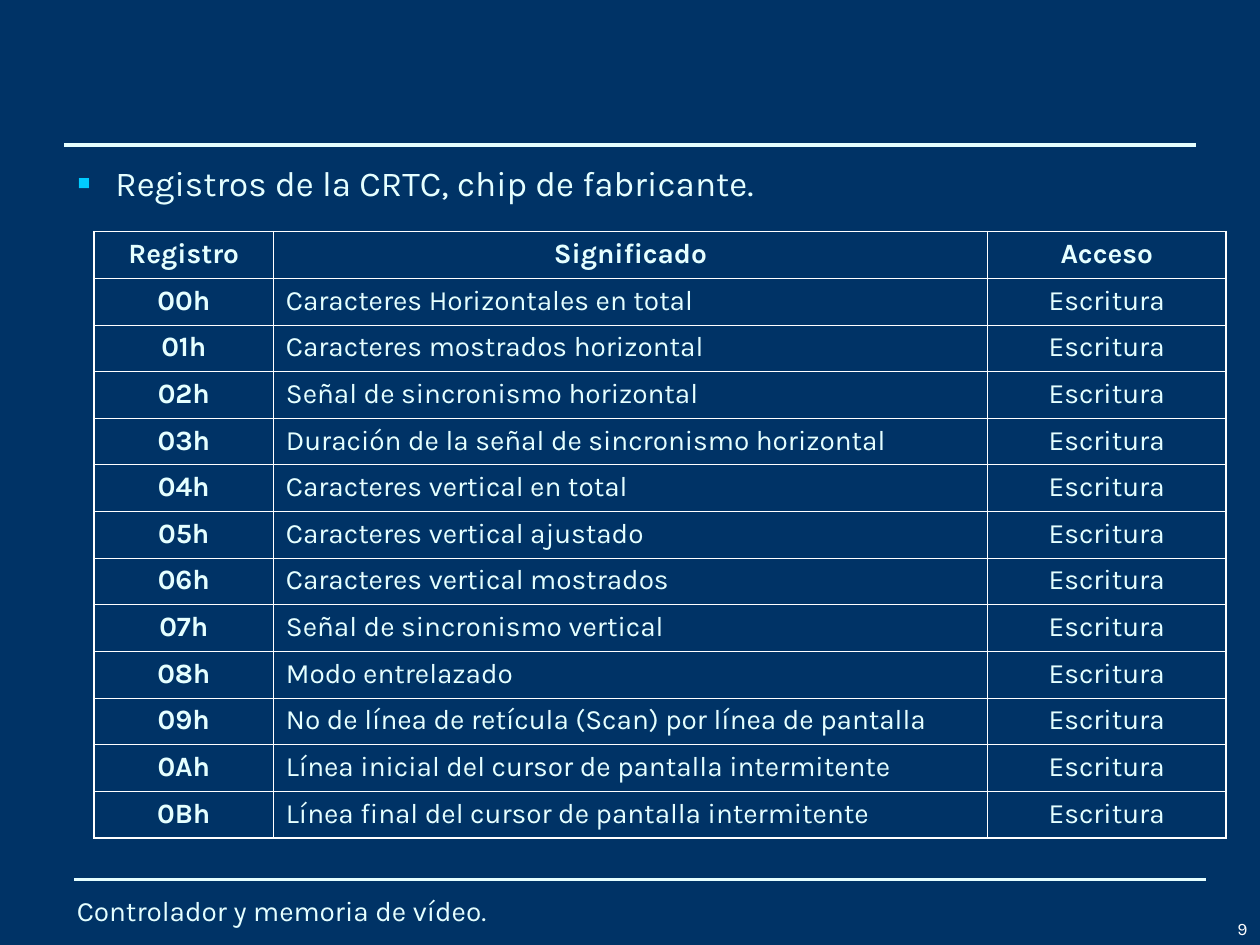
from dataclasses import dataclass

from lxml import etree
from pptx import Presentation
from pptx import util as u
from pptx.dml.color import RGBColor
from pptx.enum import shapes, text
from pptx.oxml.ns import qn

FONT = "Karla"
COLORS = {
    "background": "003366",
    "text": "E5FFFF",
    "bullet": "00CCFF",
    "grid": "FFFFFF",
}
THIN, THICK = 0.45, 1.08
CENTER, LEFT, RIGHT = text.PP_ALIGN.CENTER, text.PP_ALIGN.LEFT, text.PP_ALIGN.RIGHT
ROW_HEIGHT = 0.94


@dataclass
class Rule:
    left: float
    right: float
    top: float


@dataclass
class Label:
    content: str
    left: float
    top: float
    width: float
    height: float
    size: int
    color: str
    align: text.PP_ALIGN
    anchor: text.MSO_ANCHOR


@dataclass
class Column:
    heading: str
    width: float
    align: text.PP_ALIGN
    bold: bool


RULES = [Rule(1.3, 24.1, 2.92), Rule(1.5, 24.31, 17.73)]
LABELS = [
    Label("Controlador y memoria de vídeo.", 1.3, 17.8, 22.86, 1.12, 16, "text",
          LEFT, text.MSO_ANCHOR.MIDDLE),
    Label("9", 23.98, 18.11, 1.42, 0.94, 10, "grid", RIGHT, text.MSO_ANCHOR.BOTTOM),
]
COLUMNS = [
    Column("Registro", 3.61, CENTER, True),
    Column("Significado", 14.4, LEFT, False),
    Column("Acceso", 4.8, CENTER, False),
]
MEANINGS = [
    "Caracteres Horizontales en total",
    "Caracteres mostrados horizontal",
    "Señal de sincronismo horizontal",
    "Duración de la señal de sincronismo horizontal",
    "Caracteres vertical en total",
    "Caracteres vertical ajustado",
    "Caracteres vertical mostrados",
    "Señal de sincronismo vertical",
    "Modo entrelazado",
    "Nº de línea de retícula (Scan) por línea de pantalla",
    "Línea inicial del cursor de pantalla intermitente",
    "Línea final del cursor de pantalla intermitente",
]


def rgb(name: str) -> RGBColor:
    return RGBColor.from_string(COLORS[name])


def format_runs(paragraph, size: int, color: str = "text", bold: bool = False) -> None:
    for run in paragraph.runs:
        run.font.name = FONT
        run.font.size = u.Pt(size)
        run.font.bold = bold
        run.font.color.rgb = rgb(color)


def draw_rule(slide, rule: Rule) -> None:
    connector = slide.shapes.add_connector(
        shapes.MSO_CONNECTOR.STRAIGHT,
        u.Cm(rule.left), u.Cm(rule.top), u.Cm(rule.right), u.Cm(rule.top))
    connector.line.color.rgb = rgb("text")
    connector.line.width = u.Pt(2.25)
    etree.SubElement(connector._element.spPr, qn("a:effectLst"))


def draw_label(slide, label: Label) -> None:
    box = slide.shapes.add_textbox(
        u.Cm(label.left), u.Cm(label.top), u.Cm(label.width), u.Cm(label.height))
    frame = box.text_frame
    frame.word_wrap = True
    frame.vertical_anchor = label.anchor
    frame.text = label.content
    paragraph = frame.paragraphs[0]
    paragraph.alignment = label.align
    format_runs(paragraph, label.size, label.color)


def fill_body(slide) -> None:
    body = slide.placeholders[1]
    body.left, body.top = u.Cm(1.3), u.Cm(3.12)
    body.width, body.height = u.Cm(23.4), u.Cm(1.12)
    frame = body.text_frame
    frame.word_wrap = True
    frame.auto_size = text.MSO_AUTO_SIZE.NONE
    frame.text = "Registros de la CRTC, chip de fabricante."
    paragraph = frame.paragraphs[0]
    paragraph.space_before = u.Pt(0)
    properties = paragraph._p.get_or_add_pPr()
    properties.set("marL", str(u.Cm(0.77)))
    properties.set("indent", str(u.Cm(-0.77)))
    bullet_color = etree.SubElement(properties, qn("a:buClr"))
    etree.SubElement(bullet_color, qn("a:srgbClr"), val=COLORS["bullet"])
    etree.SubElement(properties, qn("a:buFont"), typeface=FONT)
    etree.SubElement(properties, qn("a:buChar"), char="▪")
    format_runs(paragraph, 20)


def draw_borders(cell, widths: dict[str, float]) -> None:
    properties = cell._tc.get_or_add_tcPr()
    for side, width in widths.items():
        line = etree.SubElement(properties, qn(f"a:ln{side}"), w=str(u.Pt(width)))
        fill = etree.SubElement(line, qn("a:solidFill"))
        etree.SubElement(fill, qn("a:srgbClr"), val=COLORS["grid"])


def draw_table(slide) -> None:
    rows = [[column.heading for column in COLUMNS]]
    rows += [[f"{number:02X}h", meaning, "Escritura"]
             for number, meaning in enumerate(MEANINGS)]
    last_row, last_column = len(rows) - 1, len(COLUMNS) - 1
    table = slide.shapes.add_table(
        len(rows), len(COLUMNS), u.Cm(1.9), u.Cm(4.67),
        u.Cm(sum(column.width for column in COLUMNS)),
        u.Cm(ROW_HEIGHT * len(rows))).table
    table.first_row = True
    table.horz_banding = False
    for index, column in enumerate(COLUMNS):
        table.columns[index].width = u.Cm(column.width)
    for row_index, row in enumerate(rows):
        table.rows[row_index].height = u.Cm(ROW_HEIGHT)
        heading = row_index == 0
        for column_index, column in enumerate(COLUMNS):
            cell = table.cell(row_index, column_index)
            draw_borders(cell, {
                "L": THICK if column_index == 0 else THIN,
                "R": THICK if column_index == last_column else THIN,
                "T": THICK if heading else THIN,
                "B": THICK if row_index == last_row else THIN,
            })
            cell.fill.background()
            cell.text_frame.text = row[column_index]
            paragraph = cell.text_frame.paragraphs[0]
            paragraph.alignment = CENTER if heading else column.align
            format_runs(paragraph, 16, bold=heading or column.bold)


def main() -> None:
    presentation = Presentation()
    presentation.slide_width, presentation.slide_height = u.Cm(25.4), u.Cm(19.05)
    slide = presentation.slides.add_slide(presentation.slide_layouts[1])
    slide.background.fill.solid()
    slide.background.fill.fore_color.rgb = rgb("background")
    title = slide.shapes.title._element
    title.getparent().remove(title)
    for rule in RULES:
        draw_rule(slide, rule)
    fill_body(slide)
    draw_table(slide)
    for label in LABELS:
        draw_label(slide, label)
    presentation.save("out.pptx")


if __name__ == "__main__":
    main()
